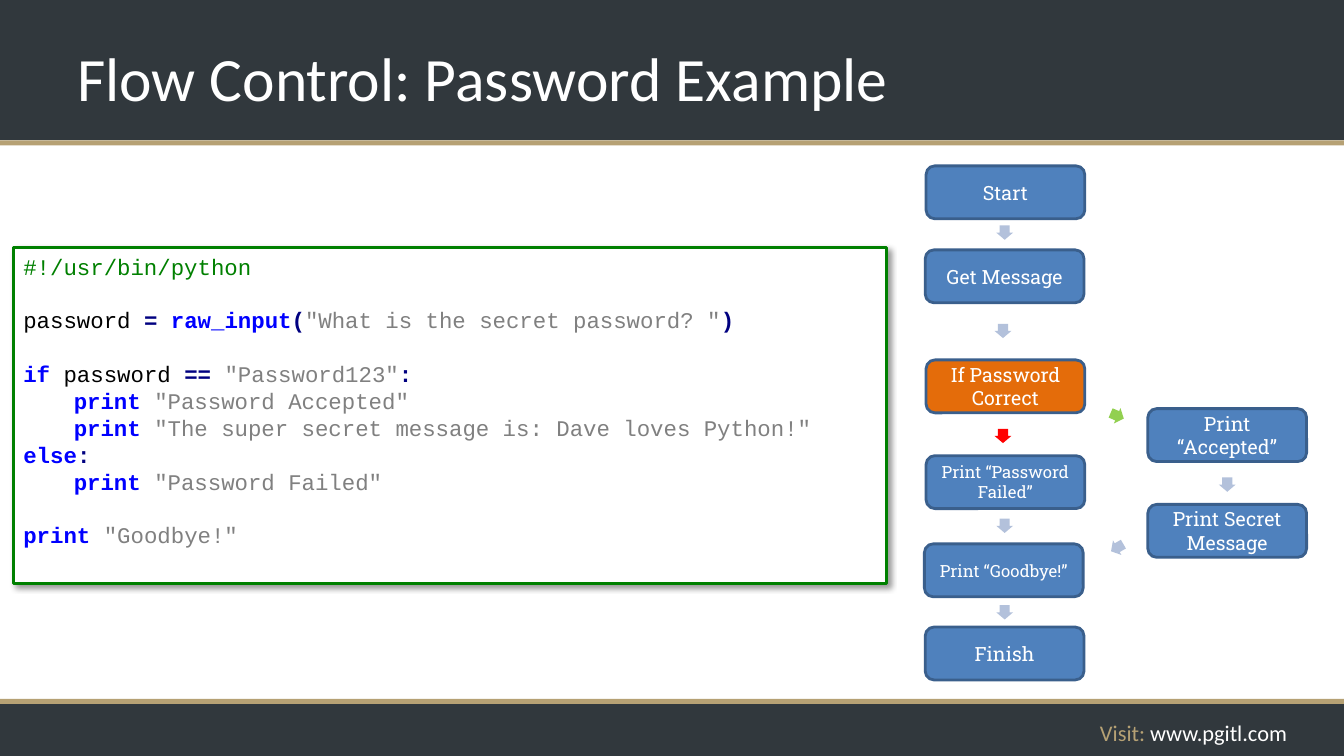
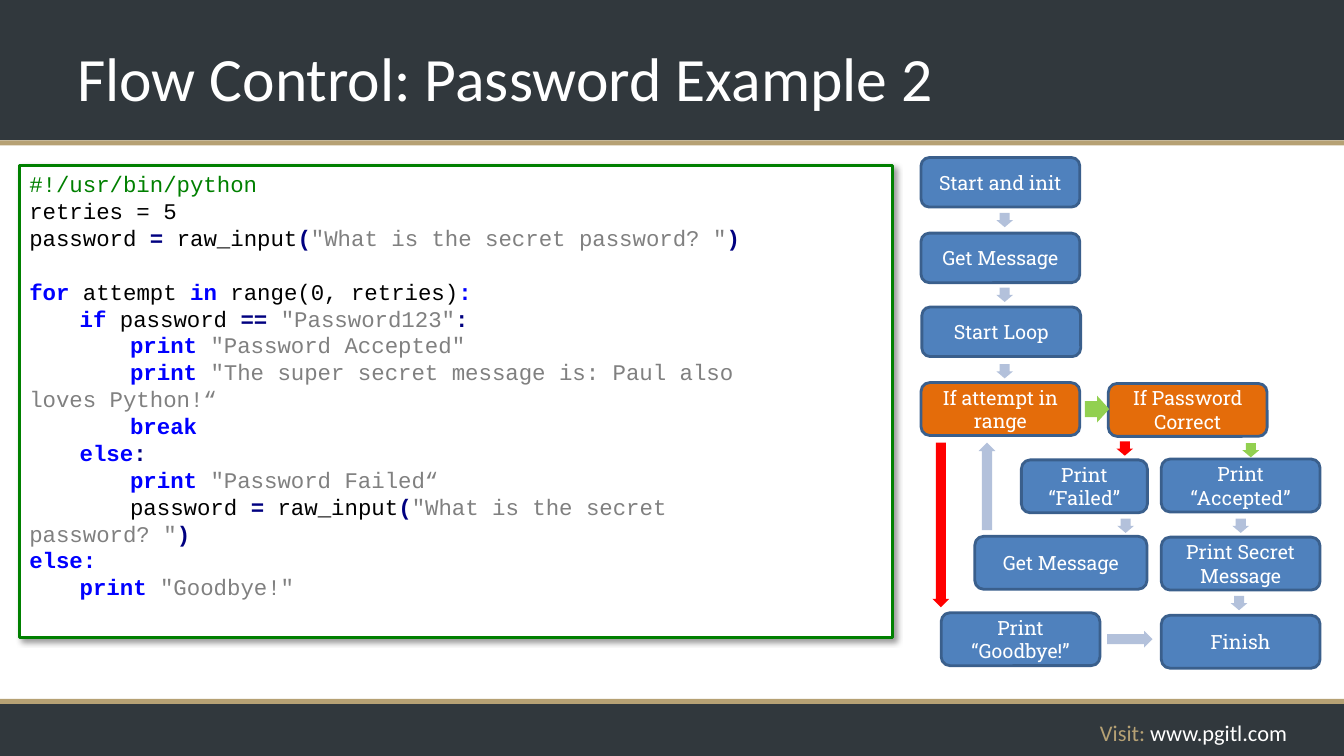
import dataclasses
import typing

import lxml.etree
import pptx
import pptx.dml.color
import pptx.enum.shapes
import pptx.enum.text
import pptx.oxml.ns
import pptx.shapes.autoshape
import pptx.slide
import pptx.text.text
import pptx.util

FORM = pptx.enum.shapes.MSO_SHAPE
ALIGN = pptx.enum.text.PP_ALIGN
ANCHOR = pptx.enum.text.MSO_ANCHOR
WIDE, HIGH = pptx.util.Inches(13.33), pptx.util.Inches(7.5)
COLS, ROWS = 160, 90


@dataclasses.dataclass(frozen=True)
class Theme:
    dark: str = "31383D"
    gold: str = "B6A174"
    white: str = "FFFFFF"
    green: str = "008000"
    blue: str = "4F81BD"
    edge: str = "3A5F8C"
    orange: str = "E46C0A"
    pale: str = "B3C1DB"
    red: str = "FF0000"
    lime: str = "92D050"
    black: str = "000000"
    navy: str = "000080"
    key: str = "0000FF"
    gray: str = "808080"
    sans: str = "Calibri"
    mono: str = "Courier New"
    slab: str = "Roboto Slab"
    head: float = 44
    text: float = 16
    step: float = 19.2
    node: float = 14
    small: float = 12


LOOK = Theme()
INK = {
    "note": (LOOK.green, False),
    "text": (LOOK.black, False),
    "op": (LOOK.navy, True),
    "key": (LOOK.key, True),
    "str": (LOOK.gray, False),
}


class Area(typing.NamedTuple):
    col: float
    row: float
    cols: float
    rows: float


class Bit(typing.NamedTuple):
    role: str
    text: str


@dataclasses.dataclass(frozen=True)
class Line:
    bits: list[Bit]
    gap: bool = False


@dataclasses.dataclass(frozen=True)
class Node:
    text: str
    col: float
    row: float
    fill: str = LOOK.blue
    size: float = LOOK.node
    cols: float = 18.9
    rows: float = 6.3


@dataclasses.dataclass(frozen=True)
class Arrow:
    col: float
    row: float
    turn: float = 90
    fill: str = LOOK.pale
    cols: float = 1.7
    rows: float = 2


@dataclasses.dataclass(frozen=True)
class Page:
    title: str
    area: Area
    code: list[Line]
    nodes: list[Node]
    arrows: list[Arrow]


def place(area: Area) -> tuple[int, int, int, int]:
    x, y = WIDE / COLS, HIGH / ROWS
    return (round(area.col * x), round(area.row * y),
            round(area.cols * x), round(area.rows * y))


def mid(item: Node | Arrow) -> Area:
    return Area(item.col - item.cols / 2, item.row - item.rows / 2, item.cols, item.rows)


def tint(text: str) -> pptx.dml.color.RGBColor:
    return pptx.dml.color.RGBColor.from_string(text)


def apply(item: typing.Any, form: dict[str, typing.Any]) -> None:
    for name, value in form.items():
        setattr(item, name, value)


def write(para: pptx.text.text._Paragraph, text: str, color: str, **form: typing.Any) -> None:
    run = para.add_run()
    run.text = text
    apply(run.font, form)
    run.font.color.rgb = tint(color)


def draw(slide: pptx.slide.Slide, kind: FORM, area: Area, fill: str,
         edge: str = "", width: float = 2) -> pptx.shapes.autoshape.Shape:
    shape = slide.shapes.add_shape(kind, *place(area))
    shape.shadow.inherit = False
    shape.fill.solid()
    shape.fill.fore_color.rgb = tint(fill)
    if edge:
        shape.line.color.rgb = tint(edge)
        shape.line.width = pptx.util.Pt(width)
    else:
        shape.line.fill.background()
    return shape


def label(slide: pptx.slide.Slide, area: Area, bits: list[tuple[str, str]],
          size: float, align: ALIGN) -> None:
    frame = slide.shapes.add_textbox(*place(area)).text_frame
    apply(frame, {"word_wrap": True, "vertical_anchor": ANCHOR.MIDDLE})
    para = frame.paragraphs[0]
    para.alignment = align
    for text, color in bits:
        write(para, text, color, name=LOOK.sans, size=pptx.util.Pt(size))


def base(slide: pptx.slide.Slide, title: str) -> None:
    for row, rows, fill in ((0, 16.7, LOOK.dark), (83.8, 6.2, LOOK.dark),
                            (83.2, 0.6, LOOK.gold), (16.7, 0.6, LOOK.gold)):
        draw(slide, FORM.RECTANGLE, Area(0, row, COLS, rows), fill)
    label(slide, Area(109, 85, 45.4, 4.4),
          [("Visit: ", LOOK.gold), ("www.pgitl.com", LOOK.white)], LOOK.text, ALIGN.RIGHT)
    label(slide, Area(8, 1.7, 113.5, 15), [(title, LOOK.white)], LOOK.head, ALIGN.LEFT)


def shade(shape: pptx.shapes.autoshape.Shape) -> None:
    name = pptx.oxml.ns.qn
    group = shape.element.spPr.find(name("a:effectLst"))
    cast = lxml.etree.SubElement(group, name("a:outerShdw"), blurRad="50800",
                                 dist="38100", dir="2700000", algn="tl", rotWithShape="0")
    color = lxml.etree.SubElement(cast, name("a:srgbClr"), val=LOOK.black)
    lxml.etree.SubElement(color, name("a:alpha"), val="40000")


def script(slide: pptx.slide.Slide, area: Area, code: list[Line]) -> None:
    shape = draw(slide, FORM.RECTANGLE, area, LOOK.white, LOOK.green, 2.25)
    shade(shape)
    frame = shape.text_frame
    apply(frame, {"word_wrap": True, "vertical_anchor": ANCHOR.TOP})
    step = pptx.util.Pt(LOOK.step)
    for spot, line in enumerate(code):
        para = frame.add_paragraph() if spot else frame.paragraphs[0]
        apply(para, {"alignment": ALIGN.LEFT, "line_spacing": step,
                     "space_before": step if line.gap else 0})
        for bit in line.bits:
            color, bold = INK[bit.role]
            write(para, bit.text, color, name=LOOK.mono,
                  size=pptx.util.Pt(LOOK.text), bold=bold)


def block(slide: pptx.slide.Slide, node: Node) -> None:
    frame = draw(slide, FORM.ROUNDED_RECTANGLE, mid(node), node.fill, LOOK.edge).text_frame
    pad = pptx.util.Inches(0.06)
    apply(frame, {"word_wrap": True, "vertical_anchor": ANCHOR.MIDDLE, "margin_left": pad,
                  "margin_right": pad, "margin_top": 0, "margin_bottom": 0})
    para = frame.paragraphs[0]
    para.alignment = ALIGN.CENTER
    write(para, node.text, LOOK.white, name=LOOK.slab, size=pptx.util.Pt(node.size))


def point(slide: pptx.slide.Slide, arrow: Arrow) -> None:
    shape = draw(slide, FORM.RIGHT_ARROW, mid(arrow), arrow.fill)
    shape.adjustments[0] = 0.6
    shape.adjustments[1] = 0.5
    shape.rotation = arrow.turn


def show(tabs: int, text: str, gap: bool = False) -> Line:
    return Line([Bit("text", "\t" * tabs), Bit("key", "print"),
                 Bit("text", " "), Bit("str", text)][0 if tabs else 1:], gap)


def ask(start: str, call: Bit, text: str, gap: bool = False) -> Line:
    return Line([Bit("text", start), Bit("op", "="), Bit("text", " "), call,
                 Bit("op", "("), Bit("str", text), Bit("op", ")")], gap)


def test(start: str, gap: bool = False) -> Line:
    return Line([Bit("key", start), Bit("text", " password "), Bit("op", "=="),
                 Bit("text", " "), Bit("str", '"Password123"'), Bit("op", ":")], gap)


FIRST = Line([Bit("note", "#!/usr/bin/python")])
PLAIN = Bit("text", "raw_input")
QUERY = '"What is the secret password? "'

PAGES = [
    Page(
        "Flow Control: Password Example",
        Area(1.6, 29.5, 103.9, 40),
        [
            FIRST,
            ask("password ", Bit("key", "raw_input"), QUERY, True),
            test("if", True),
            show(1, '"Password Accepted"'),
            show(1, '"The super secret message is: Dave loves Python!"'),
            Line([Bit("key", "else"), Bit("op", ":")]),
            show(1, '"Password Failed"'),
            show(0, '"Goodbye!"', True),
        ],
        [
            Node("Start", 119.7, 22.9),
            Node("Get Message", 119.6, 32.9),
            Node("If Password Correct", 119.7, 46, LOOK.orange),
            Node("Print “Password Failed”", 119.7, 57.4, size=LOOK.small),
            Node("Print “Goodbye!”", 119.5, 67.9, size=LOOK.small),
            Node("Finish", 119.6, 77.8),
            Node("Print “Accepted”", 146.1, 51.8),
            Node("Print Secret Message", 146.1, 63.2),
        ],
        [
            Arrow(119.6, 27.7),
            Arrow(119.4, 39.4),
            Arrow(119.4, 51.9, fill=LOOK.red),
            Arrow(119.6, 62.6),
            Arrow(119.6, 72.9),
            Arrow(133, 49.5, 23, LOOK.lime),
            Arrow(146.1, 57.7),
            Arrow(133, 65.2, 150),
        ],
    ),
    Page(
        "Flow Control: Password Example 2",
        Area(2.3, 19.7, 103.9, 56.2),
        [
            FIRST,
            Line([Bit("text", "retries = 5")]),
            ask("password ", PLAIN, QUERY),
            Line([Bit("key", "for"), Bit("text", " attempt "), Bit("key", "in"),
                  Bit("text", " range(0, retries)"), Bit("key", ":")], True),
            test("\tif"),
            show(2, '"Password Accepted"'),
            show(2, '"The super secret message is: Paul also \t\tloves Python!“'),
            Line([Bit("key", "\t\tbreak")]),
            Line([Bit("key", "\telse"), Bit("op", ":")]),
            show(2, '"Password Failed“'),
            ask("\t\tpassword ", PLAIN, '"What is the secret \t\t\tpassword? "'),
            Line([Bit("key", "else:")]),
            show(1, '"Goodbye!"'),
        ],
        [
            Node("Start and init", 119.1, 21.7, rows=5.9),
            Node("Get Message", 119.1, 30.7, rows=5.9),
            Node("Start Loop", 119.2, 39.5, rows=5.9),
            Node("If attempt in range", 119.1, 48.7, LOOK.orange),
            Node("If Password Correct", 141.4, 48.8, LOOK.orange),
            Node("Print “Failed”", 129.1, 57.9, cols=15),
            Node("Get Message", 126.3, 67, cols=20.5),
            Node("Print “Goodbye!”", 121.5, 76.1),
            Node("Print “Accepted”", 147.7, 57.8),
            Node("Print Secret Message", 147.7, 67.1),
            Node("Finish", 147.7, 76.4),
        ],
        [
            Arrow(119.6, 26.2),
            Arrow(119.6, 35.1),
            Arrow(119.6, 44.2),
            Arrow(130.6, 48.7, 0, LOOK.lime, 2.9, 3.2),
            Arrow(133.9, 53.4, fill=LOOK.red),
            Arrow(148.9, 53.6, fill=LOOK.lime),
            Arrow(134, 62.6),
            Arrow(147.7, 62.6),
            Arrow(147.5, 71.8),
            Arrow(112, 62.5, 90, LOOK.red, 19.6),
            Arrow(117.5, 57.9, 270, cols=10.4),
            Arrow(134.5, 76.1, 0, cols=5.4),
        ],
    ),
]


def main() -> None:
    deck = pptx.Presentation()
    apply(deck, {"slide_width": WIDE, "slide_height": HIGH})
    for page in PAGES:
        slide = deck.slides.add_slide(deck.slide_layouts[6])
        base(slide, page.title)
        script(slide, page.area, page.code)
        for node in page.nodes:
            block(slide, node)
        for arrow in page.arrows:
            point(slide, arrow)
    deck.save("out.pptx")


if __name__ == "__main__":
    main()
